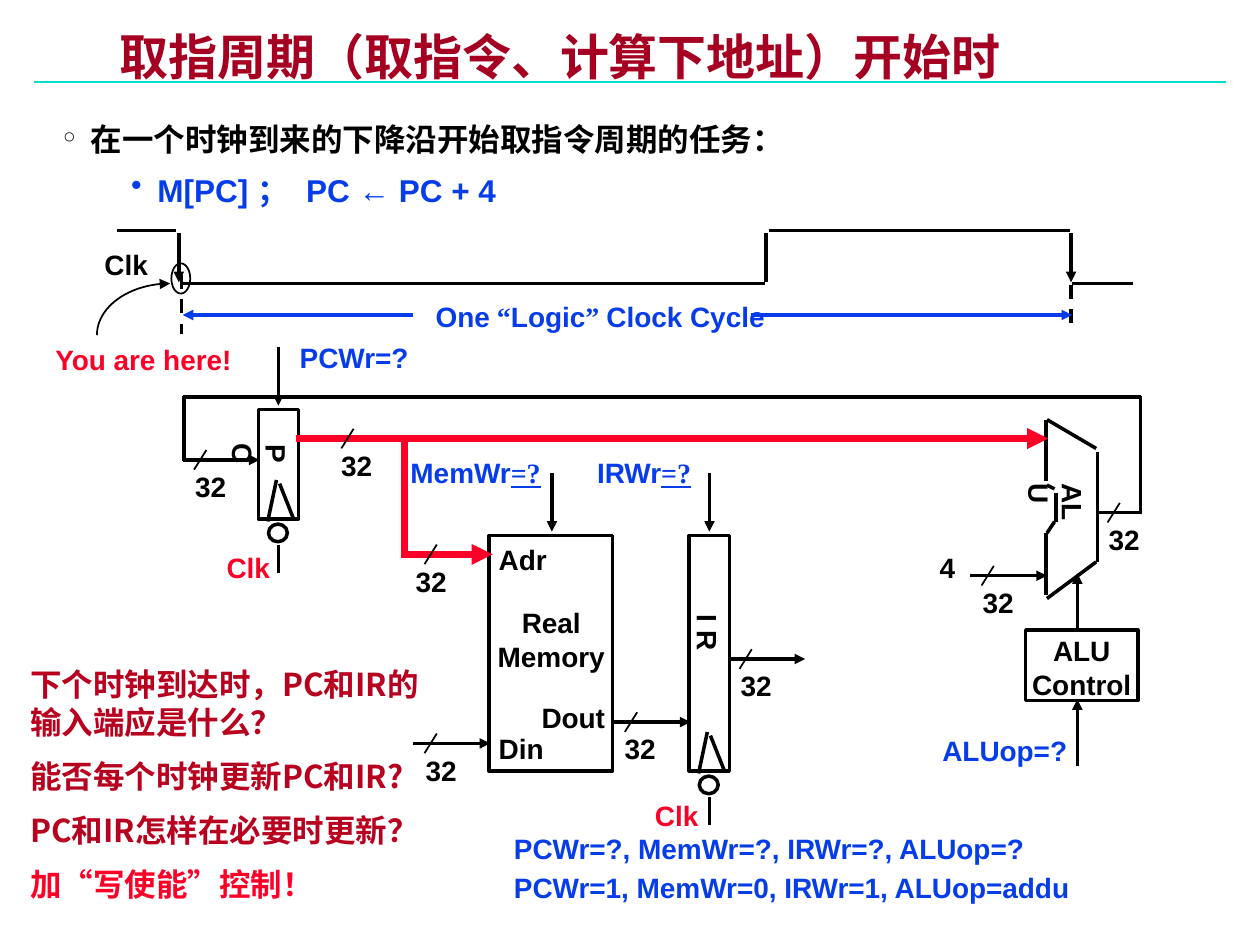
import math

from lxml import etree
from pptx import Presentation
from pptx.dml.color import RGBColor
from pptx.enum.dml import MSO_LINE
from pptx.enum.shapes import MSO_CONNECTOR, MSO_SHAPE
from pptx.enum.text import MSO_ANCHOR, MSO_AUTO_SIZE, PP_ALIGN
from pptx.oxml.ns import qn
from pptx.util import Pt

BLACK = RGBColor(0x00, 0x00, 0x00)
BLUE = RGBColor(0x06, 0x3D, 0xE8)
RED = RGBColor(0xFC, 0x01, 0x28)
CRIMSON = RGBColor(0xB7, 0x01, 0x1F)
DARK_RED = RGBColor(0xA5, 0x00, 0x21)
TEAL = RGBColor(0x00, 0xDF, 0xCA)
LEFT, CENTER = PP_ALIGN.LEFT, PP_ALIGN.CENTER
RECTANGLE, OVAL = MSO_SHAPE.RECTANGLE, MSO_SHAPE.OVAL
DASH = MSO_LINE.DASH
SANS, SERIF, CHINESE = "Arial", "Times New Roman", "Noto Sans CJK SC"

presentation = Presentation()
presentation.slide_width, presentation.slide_height = Pt(720), Pt(540)
slide = presentation.slides.add_slide(presentation.slide_layouts[5])
shapes = slide.shapes


def write_text(shape, text, color=BLACK, size=16, font=SANS, east_asian=SANS,
               align=LEFT, wrap=False, margins=(7.2, 3.6)):
    frame = shape.text_frame
    frame.auto_size = MSO_AUTO_SIZE.NONE
    frame.word_wrap = wrap
    frame.margin_left = frame.margin_right = Pt(margins[0])
    frame.margin_top = frame.margin_bottom = Pt(margins[1])
    lines = [[(part, font) for part in [line]] for line in text.split("\n")] if isinstance(text, str) else [text]
    for index, line in enumerate(lines):
        paragraph = frame.add_paragraph() if index else frame.paragraphs[0]
        paragraph.alignment = align
        for words, typeface in line:
            run = paragraph.add_run()
            run.text = words
            run.font.name, run.font.size, run.font.bold = typeface, Pt(size), True
            run.font.color.rgb = color
            if words == "=?":
                run.font.underline = True
            etree.SubElement(run.font._element, qn("a:ea"), typeface=east_asian)
    return frame


def draw_line(x1, y1, x2, y2, color=BLACK, width=2, arrow=False, dash=None):
    line = shapes.add_connector(MSO_CONNECTOR.STRAIGHT, Pt(x1), Pt(y1), Pt(x2), Pt(y2))
    line.line.color.rgb, line.line.width = color, Pt(width)
    if dash:
        line.line.dash_style = dash
    properties = line._element.spPr
    if arrow:
        etree.SubElement(properties.find(qn("a:ln")), qn("a:tailEnd"), type="triangle")
    etree.SubElement(properties, qn("a:effectLst"))


draw_line(19.4, 46.8, 700.6, 46.8, TEAL, 1.5)

title = shapes.title
title.left, title.top, title.width, title.height = Pt(63.4), Pt(18), Pt(621.4), Pt(33.1)
title_frame = write_text(title, "取指周期（取指令、计算下地址）开始时", color=DARK_RED, size=28,
                         east_asian=CHINESE, wrap=True, margins=(5, 2.2))
title_frame.vertical_anchor = MSO_ANCHOR.MIDDLE
title_frame.paragraphs[0].line_spacing = 0.87

body = shapes.add_textbox(Pt(31), Pt(61.9), Pt(645), Pt(61.2))
body_frame = write_text(body, "在一个时钟到来的下降沿开始取指令周期的任务：\nM[PC] ；  PC ← PC + 4",
                        size=18, wrap=True, margins=(5, 2.2))
bullets = [("°", 15.8, -15.8, BLACK, CHINESE, 26, 0), ("•", 54, -15.1, BLUE, SANS, 23, 6)]
for paragraph, (bullet, margin, indent, color, font, spacing, before) in zip(body_frame.paragraphs, bullets):
    properties = paragraph._p.get_or_add_pPr()
    properties.set("marL", str(Pt(margin)))
    properties.set("indent", str(Pt(indent)))
    etree.SubElement(properties, qn("a:buChar"), char=bullet)
    paragraph.line_spacing, paragraph.space_before = Pt(spacing), Pt(before)
    run = paragraph.runs[0]
    run.font.name, run.font.color.rgb = font, color
    run.font._element.find(qn("a:ea")).set("typeface", font)

REGISTERS = [(147.6, 234, 62.6), (393.8, 306, 134.6)]
outlines = [
    (RECTANGLE, 279.4, 306, 70.6, 134.6, 2),
    (RECTANGLE, 586.1, 360, 64.1, 40.3, 2),
    (OVAL, 97.9, 150.5, 10.8, 17.3, 1),
]
for left, top, height in REGISTERS:
    bottom = top + height
    outlines.append((RECTANGLE, left, top, 23, height, 2))
    outlines.append((OVAL, left + 5.8, bottom + 2.9, 10.8, 10.1, 2))
    draw_line(left + 5.4, bottom + 1.4, left + 10.4, bottom - 22.3)
    draw_line(left + 12.2, bottom - 20.2, left + 20.2, bottom)
    draw_line(left + 11.5, bottom + 15.1, left + 11.5, bottom + 30.9)
for kind, left, top, width, height, weight in outlines:
    outline = shapes.add_shape(kind, Pt(left), Pt(top), Pt(width), Pt(height))
    outline.shadow.inherit = False
    outline.fill.background()
    outline.line.color.rgb, outline.line.width = BLACK, Pt(weight)

CLOCK_WAVE = [
    (67, 131.8, 100.8, 131.8), (103, 162, 437, 162), (437.8, 133.2, 437.8, 161.3),
    (439.2, 131.8, 611.3, 131.8), (612.7, 162, 647.3, 162),
]
ALU_OUTLINE = [
    (597.6, 304.6, 597.6, 339.8), (597.6, 239.8, 597.6, 275), (598.3, 239.8, 626.4, 256.3),
    (627.1, 258.5, 627.1, 321.1), (598.3, 342, 626.4, 321.1), (603.4, 281.5, 603.4, 298.1),
    (598.3, 277.2, 602.6, 279.4), (598.3, 304.6, 602.6, 298.1),
]
FEEDBACK_WIRES = [
    (652.3, 293, 626.4, 293), (651.6, 293.8, 651.6, 226.1),
    (652.3, 226.8, 104.4, 226.8), (105.1, 263.5, 105.1, 226.1),
]
for points in CLOCK_WAVE + ALU_OUTLINE + FEEDBACK_WIRES:
    draw_line(*points)

ARROWS = [
    (102.2, 133.2, 102.2, 161.3), (612, 133.2, 612, 161.3),
    (236.2, 424.8, 280.1, 424.8), (350.6, 412.6, 394.6, 412.6),
    (104.4, 262.8, 148.3, 262.8), (554.4, 329, 598.3, 329),
    (416.2, 376.6, 460.1, 376.6), (315.4, 270, 315.4, 303.8),
    (405.4, 270, 405.4, 303.8), (159.1, 198, 159.1, 231.8),
    (615.6, 360, 615.6, 327.6), (615.6, 437.8, 615.6, 399.6),
]
for points in ARROWS:
    draw_line(*points, arrow=True)

draw_line(229.7, 316.8, 281.5, 316.8, RED, 4, arrow=True)
draw_line(169.2, 250.6, 599, 250.6, RED, 4, arrow=True)
draw_line(231.1, 319, 231.1, 249.1, RED, 4)
draw_line(103.7, 157, 103.7, 190.8, dash=DASH)
draw_line(612, 162.7, 612, 190.8, dash=DASH)
draw_line(236.2, 180, 104.4, 180, BLUE, arrow=True)
draw_line(429.1, 180, 612.7, 180, BLUE, arrow=True)

arc_points = []
for step in range(25):
    angle = math.pi / 2 * step / 24
    arc_points.append((Pt(97.2 - 41.8 * math.cos(angle)), Pt(191.5 - 29.5 * math.sin(angle))))
builder = shapes.build_freeform(*arc_points[0], scale=1.0)
builder.add_line_segments(arc_points[1:], close=False)
pointer = builder.convert_to_shape()
pointer.shadow.inherit = False
pointer.fill.background()
pointer.line.color.rgb, pointer.line.width = BLACK, Pt(1)
etree.SubElement(pointer._element.spPr.find(qn("a:ln")), qn("a:tailEnd"), type="triangle")

LABELS = [
    ("Real\nMemory", 277.2, 342.7, 75.6, 45.4, BLACK, CENTER),
    ("Din", 277.9, 414.7, 40.3, 25.9, BLACK, LEFT),
    ("Adr", 277.9, 306.7, 41.8, 25.9, BLACK, LEFT),
    ("Dout", 302.4, 396.7, 50.4, 25.9, BLACK, LEFT),
    ([("MemWr", SANS), ("=?", SERIF)], 227.5, 257, 89.3, 25.9, BLUE, LEFT),
    ([("IRWr", SANS), ("=?", SERIF)], 334.1, 257, 68.4, 25.9, BLUE, LEFT),
    ("PCWr=?", 164.2, 190.8, 77, 25.9, BLUE, LEFT),
    ("ALUop=?", 531.4, 415.4, 85.7, 25.9, BLUE, LEFT),
    ("ALU\nControl", 582.5, 358.6, 71.3, 45.4, BLACK, CENTER),
    ("4", 529.9, 311, 23, 25.9, BLACK, LEFT),
    ("Clk", 122.4, 311, 38.9, 25.9, RED, LEFT),
    ("Clk", 367.2, 452.9, 38.9, 25.9, RED, LEFT),
    ("Clk", 52.6, 138.2, 38.9, 25.9, BLACK, LEFT),
    ("You are here!", 24.5, 192.2, 116.6, 25.9, RED, LEFT),
    ([("One", SANS), (" “", SERIF), ("Logic", SANS), ("” ", SERIF), ("Clock Cycle", SANS)],
     241.9, 167.8, 202.3, 25.9, BLUE, LEFT),
    ("PCWr=?, MemWr=?, IRWr=?, ALUop=?", 286.6, 471.6, 411.1, 26.6, BLUE, LEFT),
    ("PCWr=1, MemWr=0, IRWr=1, ALUop=addu", 286.6, 493.9, 411.1, 26.6, BLUE, LEFT),
]
BUSES = [
    (242.6, 316.8, 230.4), (242.6, 424.8, 236.2), (357.1, 412.6, 349.9), (195.1, 250.6, 187.9),
    (110.9, 262.8, 104.4), (560.9, 329, 554.4), (632.9, 293, 626.4), (422.6, 376.6, 416.2),
]
for slash_left, wire_top, label_left in BUSES:
    draw_line(slash_left + 7, wire_top - 5.6, slash_left, wire_top + 5.6, width=1)
    LABELS.append(("32", label_left, wire_top + 2.1, 31.7, 25.9, BLACK, LEFT))
for text, left, top, width, height, color, align in LABELS:
    label = shapes.add_textbox(Pt(left), Pt(top), Pt(width), Pt(height))
    write_text(label, text, color=color, align=align)

ROTATED_LABELS = [
    ("PC", 140.4, 246.2, 36, CENTER, True),
    ("I R", 387.4, 348.5, 34.6, CENTER, False),
    ("ALU", 590.4, 279.4, 46, LEFT, True),
]
for text, left, top, width, align, wrap in ROTATED_LABELS:
    label = shapes.add_textbox(Pt(left), Pt(top), Pt(width), Pt(25.9))
    label.rotation = 90
    write_text(label, text, align=align, wrap=wrap)

questions = shapes.add_textbox(Pt(10.1), Pt(375.1), Pt(244.1), Pt(148.3))
question_frame = write_text(
    questions,
    "下个时钟到达时，PC和IR的输入端应是什么？\n能否每个时钟更新PC和IR?\nPC和IR怎样在必要时更新？\n加“写使能”控制！",
    color=CRIMSON, size=18, font=CHINESE, east_asian=CHINESE, wrap=True, margins=(7.2, 5))
for index, paragraph in enumerate(question_frame.paragraphs):
    paragraph.line_spacing = Pt(21.7)
    paragraph.space_before = Pt(9 if index else 0)
question_frame.paragraphs[-1].runs[0].font.color.rgb = RED

presentation.save("out.pptx")
